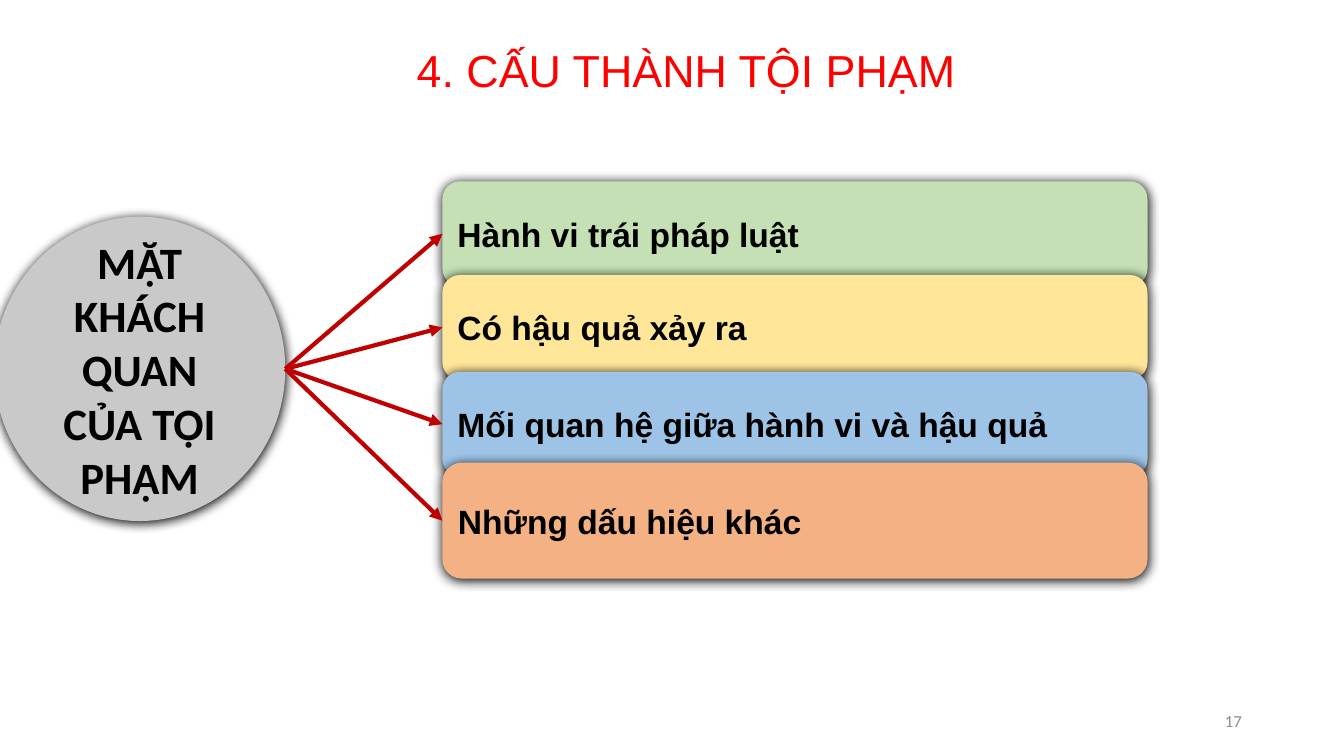
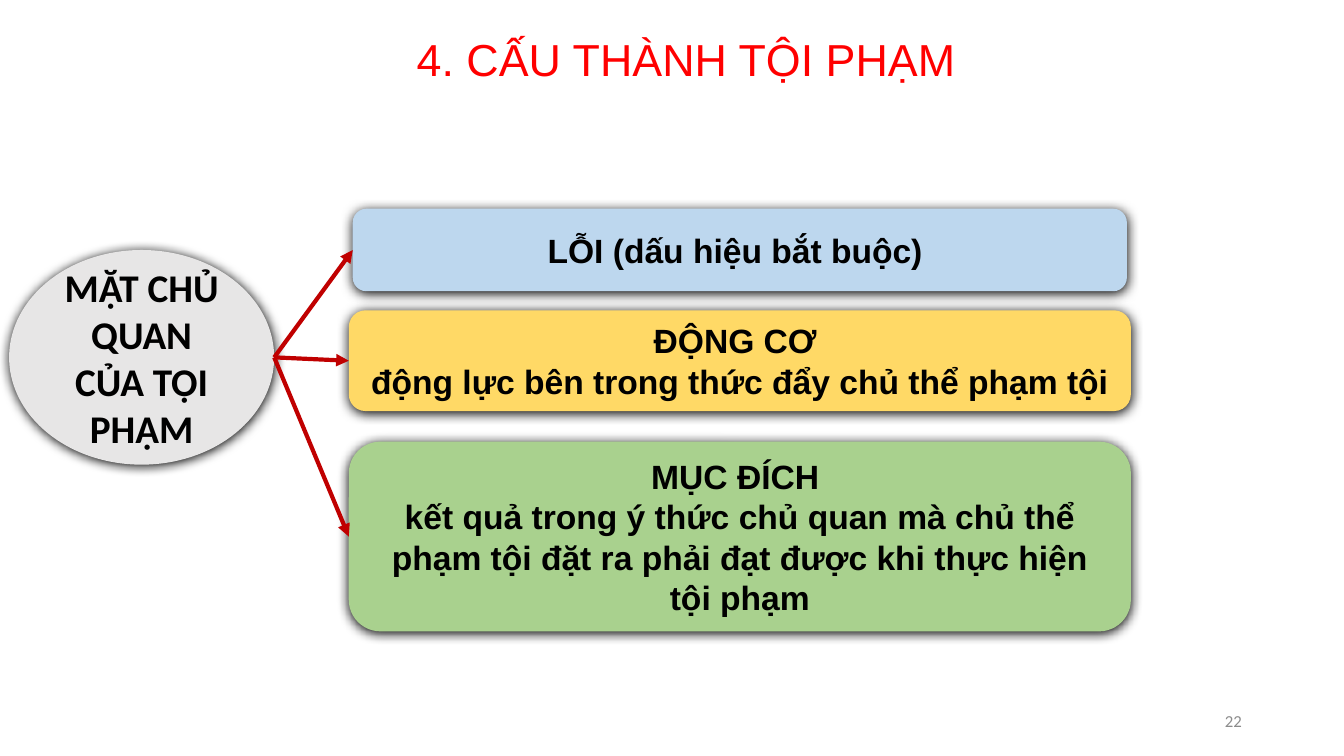
from dataclasses import dataclass

from lxml.etree import SubElement
from pptx import Presentation
from pptx.dml.color import RGBColor
from pptx.enum.shapes import MSO_CONNECTOR, MSO_SHAPE
from pptx.enum.text import MSO_ANCHOR, MSO_AUTO_SIZE, PP_ALIGN
from pptx.oxml.ns import qn
from pptx.util import Cm, Pt


@dataclass(frozen=True)
class Theme:
    heading: str = "Arial"
    body: str = "Calibri"
    red: str = "FF0000"
    arrow: str = "C00000"
    black: str = "000000"
    grey: str = "8C8C8C"
    title_size: int = 32
    branch_size: int = 24
    page_size: int = 12
    arrow_width: int = 3


THEME = Theme()
LEFT_EDGE = 1  # connection site of a rounded rectangle


class Deck:
    """Holds the theme and the slide being drawn."""

    def __init__(self, theme):
        self.theme = theme
        self.prs = Presentation()
        self.prs.slide_width, self.prs.slide_height = Cm(33.87), Cm(19.05)
        self.slide = None

    def set_text(self, shape, lines, align, anchor, color, **font_values):
        frame = shape.text_frame
        frame_values = {"word_wrap": True, "auto_size": MSO_AUTO_SIZE.NONE,
                        "vertical_anchor": anchor}
        for name, value in frame_values.items():
            setattr(frame, name, value)
        frame.text = "\n".join(lines)
        for paragraph in frame.paragraphs:
            paragraph.alignment = align
            for name, value in font_values.items():
                setattr(paragraph.font, name, value)
            paragraph.font.color.rgb = RGBColor.from_string(color)

    def start(self, heading, top):
        self.slide = self.prs.slides.add_slide(self.prs.slide_layouts[5])
        title = self.slide.shapes.title
        place = {"left": 5.28, "top": top, "width": 24.03, "height": 1.63}
        for name, value in place.items():
            setattr(title, name, Cm(value))
        self.set_text(title, [heading], PP_ALIGN.CENTER, MSO_ANCHOR.TOP, self.theme.red,
                      name=self.theme.heading, size=Pt(self.theme.title_size))

    def raised(self, kind, box, fill, lines, align, font, size):
        """Add a borderless shape with a soft shadow below it."""
        shape = self.slide.shapes.add_shape(kind, *map(Cm, box))
        shape.fill.solid()
        shape.fill.fore_color.rgb = RGBColor.from_string(fill)
        shape.line.fill.background()
        shape.shadow.inherit = False
        effects = shape._element.spPr.find(qn("a:effectLst"))
        shadow = SubElement(effects, qn("a:outerShdw"), blurRad=str(Pt(8.5)),
                            dist=str(Pt(1)), dir="5400000", rotWithShape="0")
        SubElement(shadow, qn("a:srgbClr"), val=self.theme.black)
        self.set_text(shape, lines, align, MSO_ANCHOR.MIDDLE, self.theme.black,
                      name=font, size=Pt(size), bold=True)
        return shape

    def topic(self, box, fill, text, size):
        return self.raised(MSO_SHAPE.OVAL, box, fill, [text], PP_ALIGN.CENTER,
                           self.theme.body, size)

    def branch(self, box, fill, lines, align):
        return self.raised(MSO_SHAPE.ROUNDED_RECTANGLE, box, fill, lines, align,
                           self.theme.heading, self.theme.branch_size)

    def arrow(self, topic, branch):
        x, y = topic.left + topic.width, topic.top + topic.height // 2
        link = self.slide.shapes.add_connector(MSO_CONNECTOR.STRAIGHT, x, y, x, y)
        link.end_connect(branch, LEFT_EDGE)
        link.line.color.rgb = RGBColor.from_string(self.theme.arrow)
        link.line.width = Pt(self.theme.arrow_width)
        properties = link._element.spPr
        SubElement(properties.find(qn("a:ln")), qn("a:tailEnd"), type="triangle")
        SubElement(properties, qn("a:effectLst"))

    def page_number(self, number):
        label = self.slide.shapes.add_textbox(*map(Cm, (23.93, 17.65, 7.62, 1.02)))
        self.set_text(label, [str(number)], PP_ALIGN.RIGHT, MSO_ANCHOR.MIDDLE, self.theme.grey,
                      name=self.theme.body, size=Pt(self.theme.page_size))


HEADING = "4. CẤU THÀNH TỘI PHẠM"
# Boxes are left, top, width, height in centimetres.
ASPECTS = [
    {
        "page": 17,
        "title_top": 0.96,
        "topic": ((-0.15, 5.46, 7.34, 7.67), "C9C9C9", "MẶT KHÁCH QUAN CỦA TỘI PHẠM", 32),
        "align": PP_ALIGN.LEFT,
        "branches": [
            ((11.15, 4.57, 17.77, 2.64), "C5E0B4", ["Hành vi trái pháp luật"]),
            ((11.15, 6.93, 17.77, 2.64), "FFE699", ["Có hậu quả xảy ra"]),
            ((11.15, 9.37, 17.77, 2.64), "9DC3E6", ["Mối quan hệ giữa hành vi và hậu quả"]),
            ((11.15, 11.66, 17.77, 2.92), "F4B183", ["Những dấu hiệu khác"]),
        ],
    },
    {
        "page": 22,
        "title_top": 0.66,
        "topic": ((0.23, 6.3, 6.68, 5.41), "E7E6E6", "MẶT CHỦ QUAN CỦA TỘI PHẠM", 28),
        "align": PP_ALIGN.CENTER,
        "branches": [
            ((8.89, 5.26, 19.51, 2.08), "BDD7EE", ["LỖI (dấu hiệu bắt buộc) "]),
            ((8.79, 7.82, 19.71, 2.54), "FFD966",
             ["ĐỘNG CƠ ", "động lực bên trong thức đẩy chủ thể phạm tội"]),
            ((8.79, 11.13, 19.71, 4.78), "A9D18E",
             ["MỤC ĐÍCH ", "kết quả trong ý thức chủ quan mà chủ thể phạm tội "
              "đặt ra phải đạt được khi thực hiện tội phạm"]),
        ],
    },
]


def main():
    deck = Deck(THEME)
    for aspect in ASPECTS:
        deck.start(HEADING, aspect["title_top"])
        topic = deck.topic(*aspect["topic"])
        branches = [deck.branch(*branch, aspect["align"]) for branch in aspect["branches"]]
        for branch in branches:
            deck.arrow(topic, branch)
        deck.page_number(aspect["page"])
    deck.prs.save("out.pptx")


if __name__ == "__main__":
    main()
